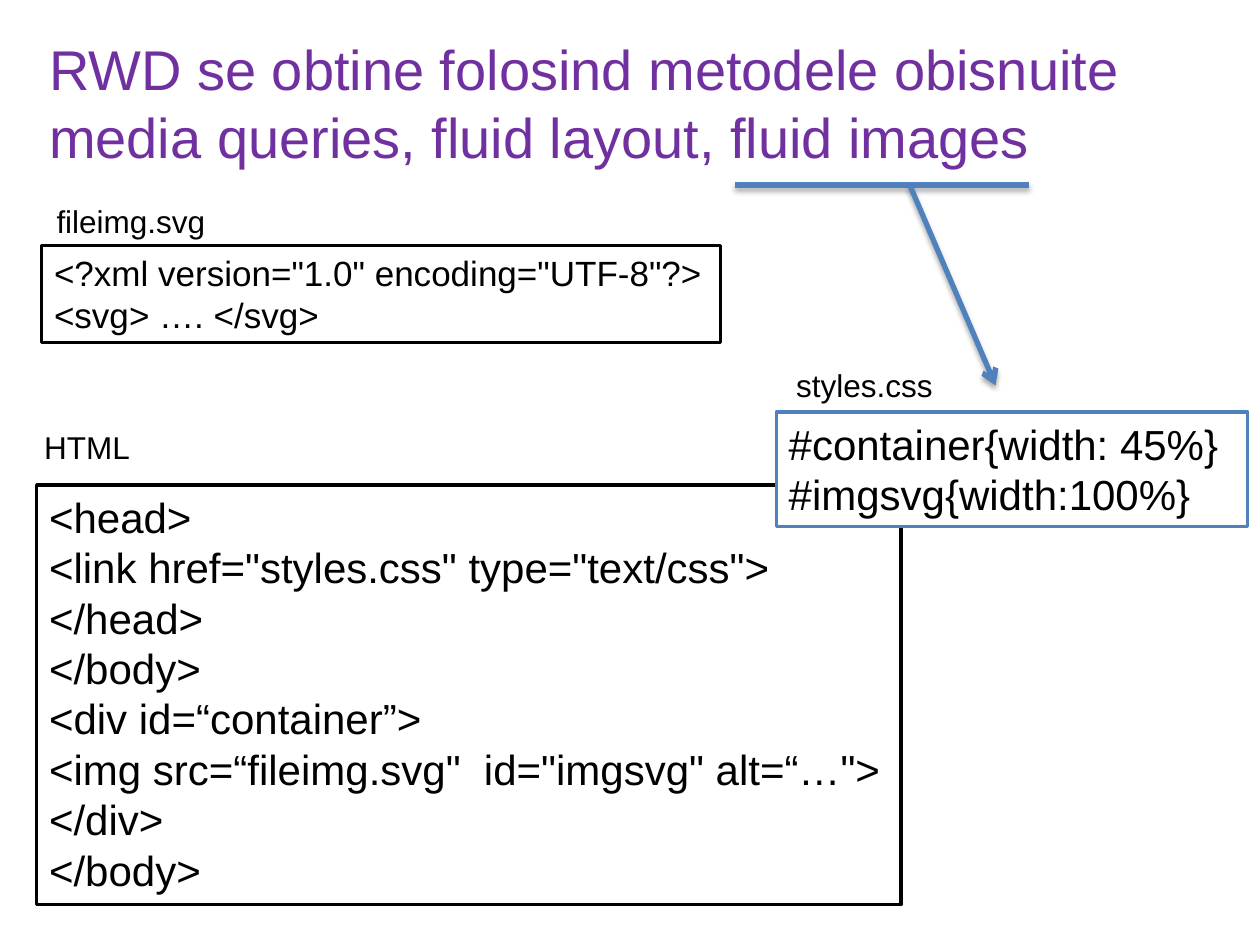
import pptx
import pptx.dml.color
import pptx.enum.shapes
import pptx.enum.text
import pptx.oxml
import pptx.oxml.ns
import pptx.util
from pptx.util import Cm

PURPLE, BLACK, WHITE, BLUE = "7030A0", "000000", "FFFFFF", "4F81BD"

SVG_CODE = """<?xml version="1.0" encoding="UTF-8"?>
<svg> …. </svg>"""
CSS_CODE = """#container{width: 45%}
#imgsvg{width:100%}"""
HTML_CODE = """<head>
<link href="styles.css" type="text/css">
</head>
</body>
<div id=“container”>
<img src=“fileimg.svg"  id="imgsvg" alt=“…">
</div>
</body>"""


def color(hex_string):
    return pptx.dml.color.RGBColor.from_string(hex_string)


def add_text(slide, text, left, top, width, height, size=18, ink=BLACK,
             wrap=False, border=None):
    """Add a text box, one paragraph per line; a border also gives a white fill."""
    box = slide.shapes.add_textbox(Cm(left), Cm(top), Cm(width), Cm(height))
    if border:
        box.fill.solid()
        box.fill.fore_color.rgb = color(WHITE)
        box.line.color.rgb = color(border)
        box.line.width = pptx.util.Pt(2)
    frame = box.text_frame
    frame.word_wrap = wrap
    frame.auto_size = pptx.enum.text.MSO_AUTO_SIZE.SHAPE_TO_FIT_TEXT
    frame.text = text
    for paragraph in frame.paragraphs:
        font = paragraph.runs[0].font
        font.name = "Arial"
        font.size = pptx.util.Pt(size)
        font.color.rgb = color(ink)


def add_line(slide, start, end, arrow=False):
    """Add a blue line with a soft shadow below it."""
    line = slide.shapes.add_connector(
        pptx.enum.shapes.MSO_CONNECTOR.STRAIGHT,
        Cm(start[0]), Cm(start[1]), Cm(end[0]), Cm(end[1]))
    line.line.color.rgb = color(BLUE)
    line.line.width = pptx.util.Pt(3)
    namespace = pptx.oxml.ns.nsdecls("a")
    if arrow:
        line.line._get_or_add_ln().append(
            pptx.oxml.parse_xml(f'<a:tailEnd {namespace} type="arrow"/>'))
    line._element.spPr.append(pptx.oxml.parse_xml(
        f'<a:effectLst {namespace}>'
        '<a:outerShdw blurRad="40000" dist="23000" dir="5400000" rotWithShape="0">'
        f'<a:srgbClr val="{BLACK}"><a:alpha val="35000"/></a:srgbClr>'
        '</a:outerShdw></a:effectLst>'))


def main():
    deck = pptx.Presentation()
    deck.slide_width, deck.slide_height = Cm(25.4), Cm(19.05)
    slide = deck.slides.add_slide(deck.slide_layouts[6])

    add_text(slide, "RWD se obtine folosind metodele obisnuite\n"
             "media queries, fluid layout, fluid images",
             0.74, 0.58, 23.52, 5.74, size=32, ink=PURPLE, wrap=True)

    add_text(slide, HTML_CODE, 0.74, 9.78, 17.42, 8.46, size=24, border=BLACK)
    add_text(slide, SVG_CODE, 0.84, 4.95, 13.69, 1.96, size=20, border=BLACK)
    add_text(slide, "fileimg.svg", 0.89, 3.94, 3.53, 1.02)
    add_text(slide, "HTML", 0.64, 8.51, 2.26, 1.02)
    add_text(slide, CSS_CODE, 15.65, 8.31, 9.5, 2.31, size=24, wrap=True,
             border=BLUE)
    add_text(slide, "styles.css", 15.8, 7.26, 3.3, 1.02)

    underline_y = 3.73
    add_line(slide, (14.81, underline_y), (20.75, underline_y))
    add_line(slide, (18.34, underline_y), (20.07, 7.77), arrow=True)

    deck.save("out.pptx")


if __name__ == "__main__":
    main()
